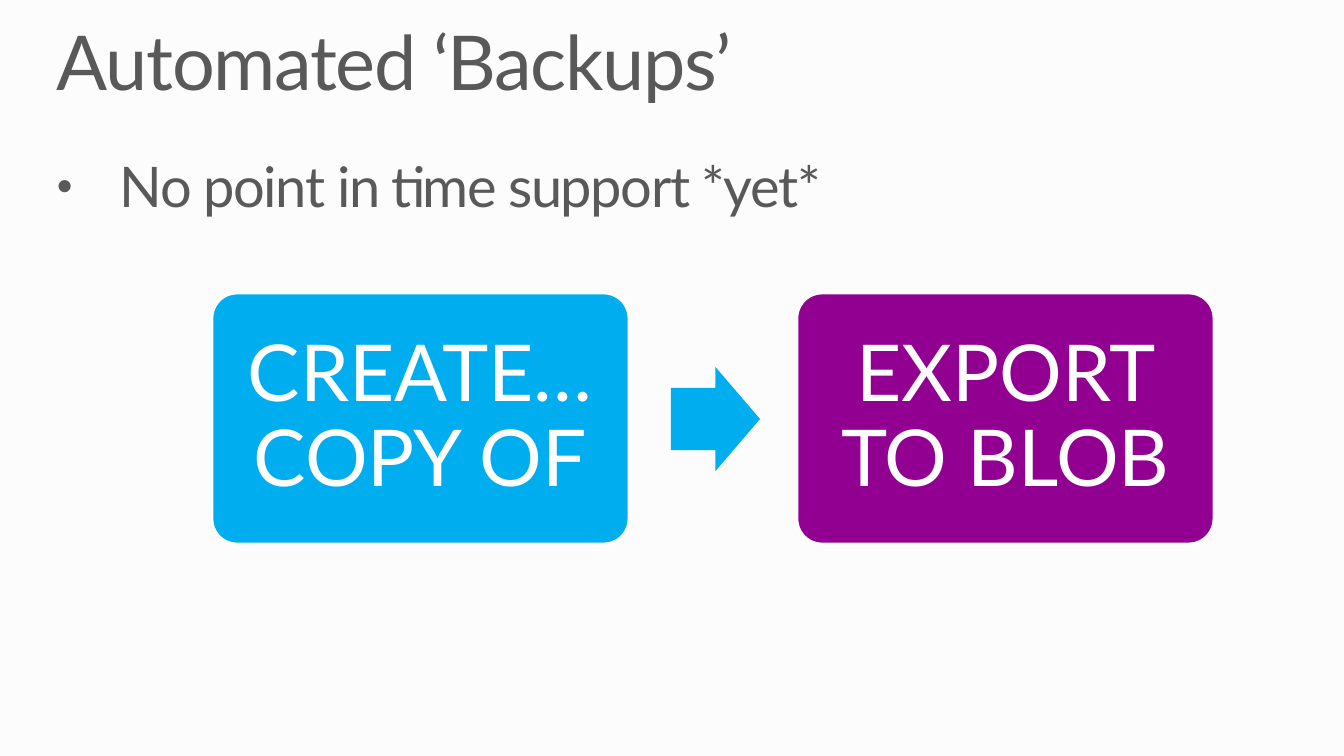
from dataclasses import dataclass

from lxml.etree import SubElement
from pptx import Presentation
from pptx.dml.color import RGBColor
from pptx.enum.shapes import MSO_SHAPE
from pptx.enum.text import MSO_ANCHOR, PP_ALIGN
from pptx.oxml.ns import qn
from pptx.shapes.autoshape import Shape
from pptx.slide import Slide
from pptx.util import Emu, Pt

EMU_PER_PX = 914400 / 100.8
FONT = "Lato"
PAPER = RGBColor(0xFC, 0xFC, 0xFC)
GRAY = RGBColor(0x59, 0x59, 0x59)
WHITE = RGBColor(0xFF, 0xFF, 0xFF)
BLUE = RGBColor(0x00, 0xAE, 0xEF)
PURPLE = RGBColor(0x91, 0x00, 0x91)


def px(length: int) -> Emu:
    return Emu(round(length * EMU_PER_PX))


@dataclass(frozen=True)
class Heading:
    text: str
    top: int
    height: int
    size: int
    bulleted: bool = False


@dataclass(frozen=True)
class Step:
    lines: tuple[str, ...]
    left: int
    color: RGBColor


HEADINGS = (
    Heading("Automated ‘Backups’", 25, 83, 54),
    Heading("No point in time support *yet*", 159, 61, 40, bulleted=True),
)
STEPS = (
    Step(("CREATE…", "COPY OF"), 212, BLUE),
    Step(("EXPORT TO BLOB",), 797, PURPLE),
)


def set_insets(frame, inset: int) -> None:
    for side in ("left", "top", "right", "bottom"):
        setattr(frame, f"margin_{side}", px(inset))


def style(font, size: int, color: RGBColor) -> None:
    for attribute, value in {"name": FONT, "size": Pt(size)}.items():
        setattr(font, attribute, value)
    font.color.rgb = color


def add_heading(slide: Slide, heading: Heading) -> None:
    box = slide.shapes.add_textbox(px(57), px(heading.top), px(1230), px(heading.height))
    frame = box.text_frame
    frame.word_wrap = True
    set_insets(frame, 0)
    paragraph = frame.paragraphs[0]
    paragraph.line_spacing = 0.9
    if heading.bulleted:
        properties = paragraph._p.get_or_add_pPr()
        properties.set("marL", str(px(63)))
        properties.set("indent", str(-px(63)))
        SubElement(properties, qn("a:buSzPct"), val="80000")
        SubElement(properties, qn("a:buFont"), typeface="Arial")
        SubElement(properties, qn("a:buChar"), char="•")
    run = paragraph.add_run()
    run.text = heading.text
    style(run.font, heading.size, GRAY)
    run._r.get_or_add_rPr().set("spc", "-100")


def add_block(slide: Slide, kind: MSO_SHAPE, bounds: tuple[int, int, int, int],
              color: RGBColor, adjustments: tuple[float, ...]) -> Shape:
    block = slide.shapes.add_shape(kind, *map(px, bounds))
    block.shadow.inherit = False
    block.fill.solid()
    block.fill.fore_color.rgb = color
    for index, adjustment in enumerate(adjustments):
        block.adjustments[index] = adjustment
    return block


def add_step(slide: Slide, step: Step) -> None:
    block = add_block(slide, MSO_SHAPE.ROUNDED_RECTANGLE, (step.left, 293, 417, 251),
                      step.color, (0.1,))
    block.line.color.rgb = WHITE
    block.line.width = Pt(2)
    frame = block.text_frame
    frame.word_wrap = True
    frame.vertical_anchor = MSO_ANCHOR.MIDDLE
    set_insets(frame, 23)
    paragraph = frame.paragraphs[0]
    paragraph.alignment = PP_ALIGN.CENTER
    paragraph.line_spacing = 0.9
    for index, line in enumerate(step.lines):
        if index:
            paragraph.add_line_break()
        run = paragraph.add_run()
        run.text = line
        style(run.font, 56, WHITE)


def main() -> None:
    presentation = Presentation()
    presentation.slide_width, presentation.slide_height = px(1344), px(756)
    slide = presentation.slides.add_slide(presentation.slide_layouts[6])
    slide.background.fill.solid()
    slide.background.fill.fore_color.rgb = PAPER

    # Title and bullet
    for heading in HEADINGS:
        add_heading(slide, heading)

    # Backup process
    for step in STEPS:
        add_step(slide, step)
    arrow = add_block(slide, MSO_SHAPE.RIGHT_ARROW, (671, 367, 89, 104), BLUE, (0.6, 0.5))
    arrow.line.fill.background()

    presentation.save("out.pptx")


if __name__ == "__main__":
    main()
